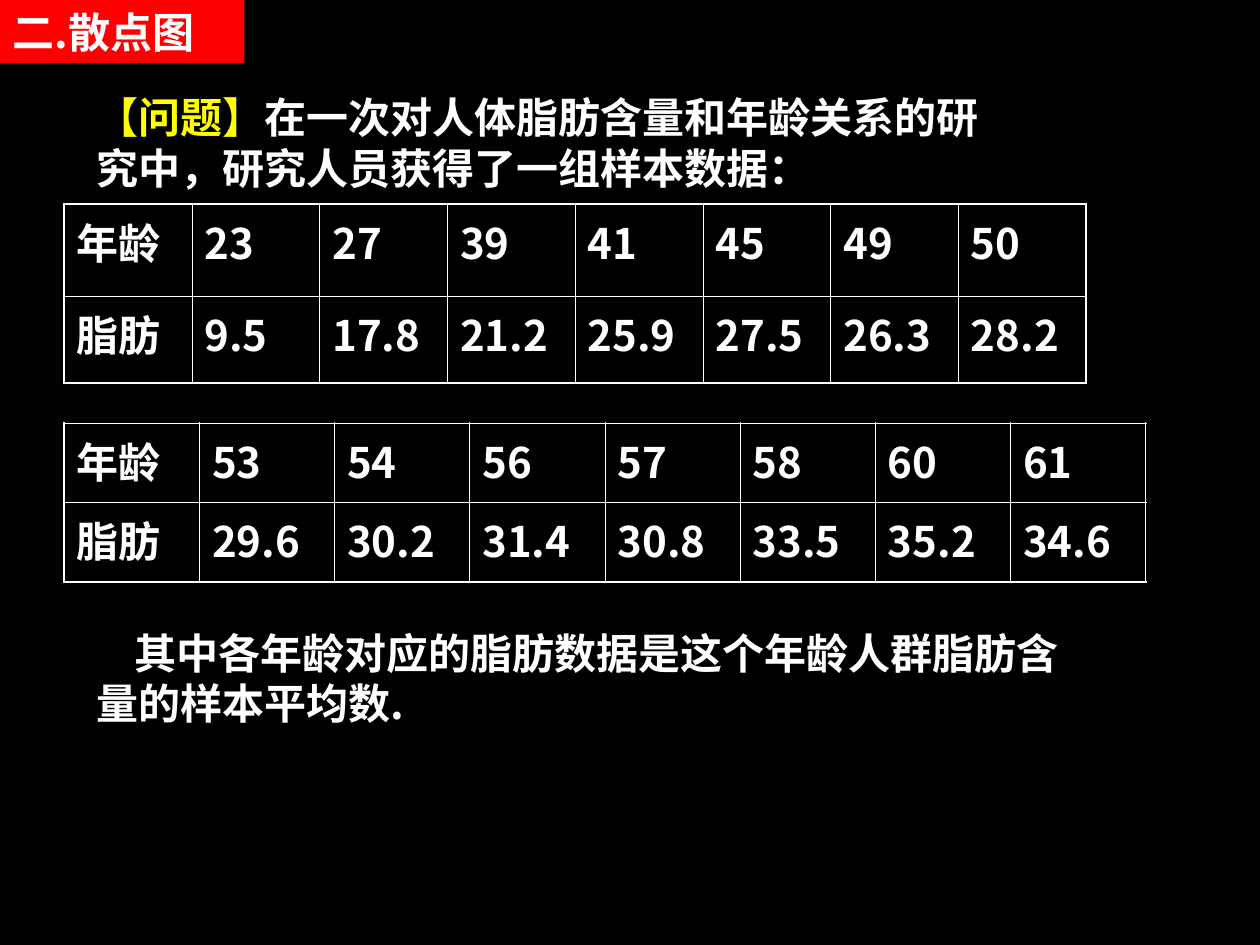
import pptx
import pptx.dml.color
import pptx.enum.text
import pptx.oxml
import pptx.oxml.ns
import pptx.util
from lxml import etree

Pt = pptx.util.Pt
qn = pptx.oxml.ns.qn

COLORS = {"background": "000000", "banner": "FF0000", "text": "FFFFFF", "label": "FFFF00"}
CJK_FONT = "Noto Sans CJK SC"
LATIN_FONT = "Arial"
OUTER_LINE, INNER_LINE = 1.08, 0.45

EARLY_AGES = [
    ["年龄", "23", "27", "39", "41", "45", "49", "50"],
    ["脂肪", "9.5", "17.8", "21.2", "25.9", "27.5", "26.3", "28.2"],
]
LATER_AGES = [
    ["年龄", "53", "54", "56", "57", "58", "60", "61"],
    ["脂肪", "29.6", "30.2", "31.4", "30.8", "33.5", "35.2", "34.6"],
]


def rgb(name):
    return pptx.dml.color.RGBColor.from_string(COLORS[name])


def add_run(paragraph, text, color="text", font=CJK_FONT, size=24, bold=True):
    run = paragraph.add_run()
    run.text = text
    run.font.size = Pt(size)
    run.font.bold = bold
    run.font.color.rgb = rgb(color)
    run.font.name = font
    east_asian = etree.SubElement(run.font._element, qn("a:ea"))
    east_asian.set("typeface", CJK_FONT)


def add_title(slide, text, left, top, width, height):
    title = slide.shapes.title
    title.left, title.top, title.width, title.height = map(Pt, (left, top, width, height))
    title.fill.solid()
    title.fill.fore_color.rgb = rgb("banner")
    frame = title.text_frame
    frame.auto_size = pptx.enum.text.MSO_AUTO_SIZE.NONE
    frame.vertical_anchor = pptx.enum.text.MSO_ANCHOR.MIDDLE
    frame.paragraphs[0].alignment = pptx.enum.text.PP_ALIGN.LEFT
    add_run(frame.paragraphs[0], text)


def add_passage(slide, left, top, width, height, indent=0):
    box = slide.shapes.add_textbox(*map(Pt, (left, top, width, height)))
    box.text_frame.word_wrap = True
    passage = box.text_frame.paragraphs[0]
    passage._p.get_or_add_pPr().set("indent", str(Pt(indent)))
    return passage


def set_border(cell, side, width):
    line = etree.SubElement(cell._tc.get_or_add_tcPr(), qn("a:" + side), w=str(Pt(width)))
    fill = etree.SubElement(line, qn("a:solidFill"))
    etree.SubElement(fill, qn("a:srgbClr"), val=COLORS["text"])


def add_data_table(slide, data, left, top, width, row_heights, header_font):
    row_count, column_count = len(data), len(data[0])
    table = slide.shapes.add_table(
        row_count, column_count, Pt(left), Pt(top), Pt(width), Pt(sum(row_heights))
    ).table
    for column in table.columns:
        column.width = Pt(width / column_count)
    for r, values in enumerate(data):
        table.rows[r].height = Pt(row_heights[r])
        for c, value in enumerate(values):
            cell = table.cell(r, c)
            add_run(cell.text_frame.paragraphs[0], value,
                    font=header_font if c == 0 else CJK_FONT)
            # Borders come before the fill in the cell properties
            on_edge = {"lnL": c == 0, "lnR": c == column_count - 1,
                       "lnT": r == 0, "lnB": r == row_count - 1}
            for side, is_outer in on_edge.items():
                set_border(cell, side, OUTER_LINE if is_outer else INNER_LINE)
            cell.fill.background()


def main():
    deck = pptx.Presentation()
    deck.slide_width, deck.slide_height = Pt(720), Pt(540)
    slide = deck.slides.add_slide(deck.slide_layouts[5])
    slide.background.fill.solid()
    slide.background.fill.fore_color.rgb = rgb("background")

    # Section banner
    add_title(slide, "二.散点图", 0, 0, 139.7, 36)

    # Question
    question = add_passage(slide, 48.2, 49, 541.4, 64.8)
    add_run(question, "【问题】", color="label", font=LATIN_FONT)
    add_run(question, "在一次对人体脂肪含量和年龄关系的研究中，研究人员获得了一组样本数据：",
            font=LATIN_FONT)

    # Sample data
    add_data_table(slide, EARLY_AGES, 36.7, 116.6, 584, [52.6, 49.7], CJK_FONT)
    add_data_table(slide, LATER_AGES, 36.7, 241.9, 618, [45.4, 45.4], LATIN_FONT)

    # Explanation
    explanation = add_passage(slide, 48.2, 355, 564.5, 64.8, indent=21.7)
    add_run(explanation, "其中各年龄对应的脂肪数据是这个年龄人群脂肪含量的样本平均数.")

    deck.save("out.pptx")


if __name__ == "__main__":
    main()
